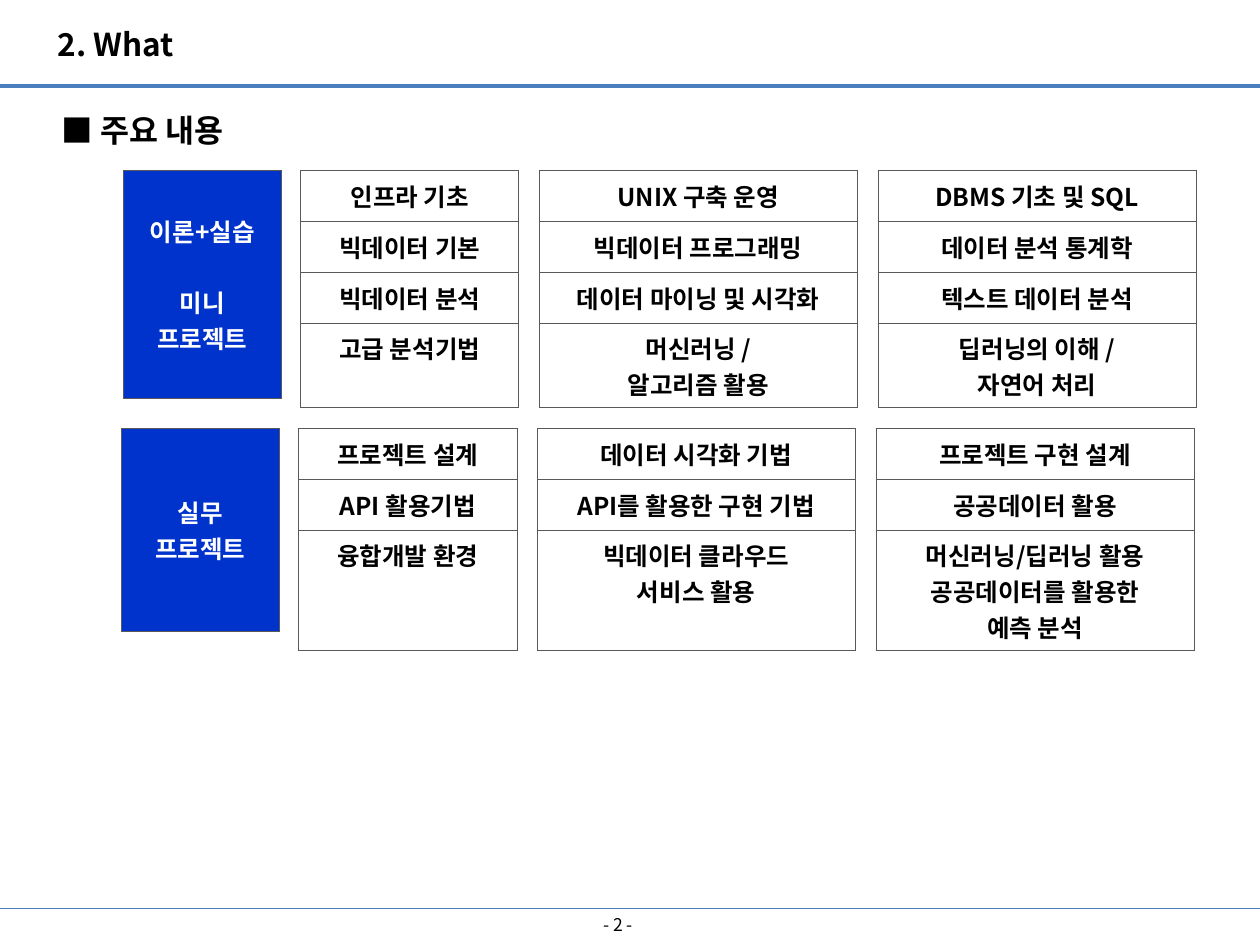
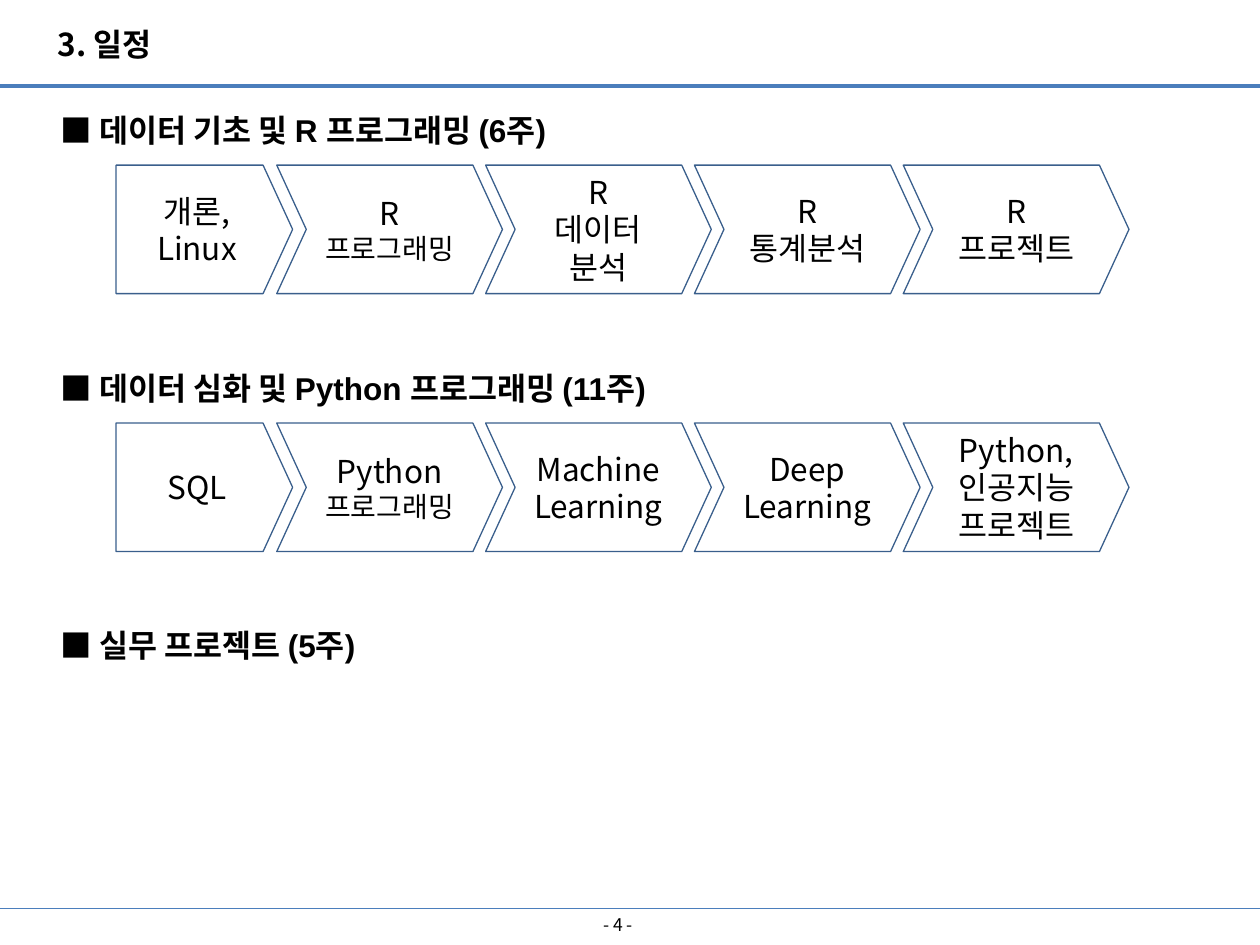
from lxml import etree
from pptx import Presentation
from pptx.dml.color import RGBColor
from pptx.enum.shapes import MSO_CONNECTOR as CONN, MSO_SHAPE as SHAPE
from pptx.enum.text import MSO_ANCHOR as ANCHOR, MSO_AUTO_SIZE as AUTO, PP_ALIGN as ALIGN
from pptx.oxml.ns import qn
from pptx.util import Cm, Pt

BLACK = RGBColor(0x00, 0x00, 0x00)
WHITE = RGBColor(0xFF, 0xFF, 0xFF)
RULE = RGBColor(0x4B, 0x7E, 0xBC)
OUTLINE = RGBColor(0x3A, 0x5F, 0x8C)
LABEL = RGBColor(0x00, 0x33, 0xCC)
BORDER = RGBColor(0x59, 0x59, 0x59)
SANS, LATIN = "Noto Sans CJK KR", "Arial"
INSETS = {"margin_left": Cm(0.1), "margin_right": Cm(0.1),
          "margin_top": Cm(0.13), "margin_bottom": Cm(0.13)}


class Deck:
    """Holds the presentation, its shared style and the current slide."""

    TITLE = {"size": Pt(18), "bold": True, "name": SANS}
    HEADING = {"size": Pt(18), "bold": True, "name": LATIN}
    CELL = {"size": Pt(14), "bold": True, "name": SANS}
    STEP = {"size": Pt(18), "bold": False, "name": SANS}
    FOOTER = {"size": Pt(10), "bold": False, "name": SANS}

    def __init__(self):
        self.prs = Presentation()
        self.prs.slide_width, self.prs.slide_height = Cm(25.4), Cm(19.05)

    def slide(self, title, title_width, number):
        self.s = self.prs.slides.add_slide(self.prs.slide_layouts[6])
        self.rule(1.73, 2.25)
        self.rule(18.31, 0.75)
        self.text(0.91, 0.38, title_width, 1.02, title, self.TITLE)
        tf = self.text(9.5, 18.31, 5.92, 0.66, f"- {number} -", self.FOOTER, ALIGN.CENTER)
        tf.vertical_anchor = ANCHOR.MIDDLE

    def rule(self, y, weight):
        line = self.s.shapes.add_connector(CONN.STRAIGHT, 0, Cm(y), self.prs.slide_width, Cm(y))
        line.line.color.rgb, line.line.width = RULE, Pt(weight)
        etree.SubElement(line._element.spPr, qn("a:effectLst"))

    def fill_text(self, tf, lines, style, align=ALIGN.CENTER, color=BLACK):
        for i, line in enumerate(lines):
            text, extra = line if isinstance(line, tuple) else (line, {})
            p = tf.paragraphs[0] if i == 0 else tf.add_paragraph()
            p.alignment = align
            p.space_before = extra.get("space_before", Pt(0))
            r = p.add_run()
            r.text = text
            for key, value in style.items():
                setattr(r.font, key, extra.get(key, value))
            r.font.color.rgb = color
            etree.SubElement(r.font._element, qn("a:ea"), typeface=SANS)

    def text(self, x, y, w, h, text, style, align=ALIGN.LEFT):
        tf = self.s.shapes.add_textbox(Cm(x), Cm(y), Cm(w), Cm(h)).text_frame
        tf.word_wrap = align == ALIGN.CENTER
        if not tf.word_wrap:
            tf.auto_size = AUTO.SHAPE_TO_FIT_TEXT
        self.fill_text(tf, [text], style, align)
        return tf

    def heading(self, x, y, w, text):
        tf = self.text(x, y, w, 1.42, "■ " + text, self.HEADING)
        tf.paragraphs[0].line_spacing = 1.5

    def table(self, x, y, w, heights, rows, fill=None):
        gf = self.s.shapes.add_table(len(rows), 1, Cm(x), Cm(y), Cm(w), Cm(sum(heights)))
        tbl = gf.table
        tbl.first_row = tbl.horz_banding = False
        for i, (height, lines) in enumerate(zip(heights, rows)):
            tbl.rows[i].height = Cm(height)
            cell = tbl.cell(i, 0)
            last = 0 < i == len(rows) - 1
            cell.vertical_anchor = ANCHOR.TOP if last else ANCHOR.MIDDLE
            for key, value in INSETS.items():
                setattr(cell, key, value)
            self.border(cell)
            if fill is None:
                cell.fill.background()
            else:
                cell.fill.solid()
                cell.fill.fore_color.rgb = fill
            self.fill_text(cell.text_frame, lines, self.CELL, color=WHITE if fill else BLACK)

    def border(self, cell):
        tcPr = cell._tc.get_or_add_tcPr()
        for side in ("lnL", "lnR", "lnT", "lnB"):
            ln = etree.SubElement(tcPr, qn("a:" + side), w=str(Pt(0.5)))
            solid = etree.SubElement(ln, qn("a:solidFill"))
            etree.SubElement(solid, qn("a:srgbClr"), val=str(BORDER))

    def step(self, kind, x, y, w, lines):
        sp = self.s.shapes.add_shape(kind, Cm(x), Cm(y), Cm(w), Cm(2.59))
        sp.adjustments[0] = 0.23
        sp.shadow.inherit = False
        sp.fill.solid()
        sp.fill.fore_color.rgb = WHITE
        sp.line.color.rgb, sp.line.width = OUTLINE, Pt(0.75)
        tf = sp.text_frame
        tf.word_wrap, tf.vertical_anchor = True, ANCHOR.MIDDLE
        for key, value in INSETS.items():
            setattr(tf, key, value)
        self.fill_text(tf, lines, self.STEP)

    def process(self, y, steps):
        self.step(SHAPE.PENTAGON, 2.34, y, 3.56, steps[0])
        for i, lines in enumerate(steps[1:]):
            self.step(SHAPE.CHEVRON, 5.58 + 4.21 * i, y, 4.55, lines)


THEORY = [
    [["인프라 기초"], ["빅데이터 기본"], ["빅데이터 분석"], ["고급 분석기법"]],
    [["UNIX 구축 운영"], ["빅데이터 프로그래밍"], ["데이터 마이닝 및 시각화"],
     ["머신러닝 /", "알고리즘 활용"]],
    [["DBMS 기초 및 SQL"], ["데이터 분석 통계학"], ["텍스트 데이터 분석"],
     ["딥러닝의 이해 /", "자연어 처리"]],
]
PRACTICE = [
    [["프로젝트 설계"], ["API 활용기법"], ["융합개발 환경"]],
    [["데이터 시각화 기법"], ["API를 활용한 구현 기법"], ["빅데이터 클라우드", "서비스 활용"]],
    [["프로젝트 구현 설계"], ["공공데이터 활용"],
     ["머신러닝/딥러닝 활용", "공공데이터를 활용한", "예측 분석"]],
]
THEORY_LABEL = ["이론+실습", ("미니", {"space_before": Pt(20)}), "프로젝트"]
PRACTICE_LABEL = ["실무", "프로젝트"]
GROUPS = [
    (2.49, 3.43, 4.6, THEORY_LABEL, [1.03, 1.03, 1.03, 1.7], THEORY),
    (2.45, 8.64, 4.09, PRACTICE_LABEL, [1.03, 1.03, 2.42], PRACTICE),
]
COLUMNS = [(3.57, 4.4), (8.38, 6.41), (15.21, 6.41)]
PROGRAMMING = ("프로그래밍", {"size": Pt(16)})

deck = Deck()

deck.slide("2. What", 2.9, 2)
deck.heading(0.99, 1.73, 4.17, "주요 내용")
for x, y, height, label, heights, columns in GROUPS:
    deck.table(x, y, 3.18, [height], [label], LABEL)
    for (offset, width), rows in zip(COLUMNS, columns):
        deck.table(x + offset, y, width, heights, rows)

deck.slide("3. 일정", 2.57, 4)
deck.heading(0.98, 1.73, 11.46, "데이터 기초 및 R 프로그래밍 (6주)")
deck.process(3.33, [["개론,", "Linux"], ["R", PROGRAMMING], ["R", "데이터", "분석"],
                    ["R", "통계분석"], ["R", "프로젝트"]])
deck.heading(0.98, 6.93, 13.56, "데이터 심화 및 Python 프로그래밍 (11주)")
deck.process(8.53, [["SQL"], ["Python", PROGRAMMING], ["Machine", "Learning"],
                    ["Deep", "Learning"], ["Python,", "인공지능", "프로젝트"]])
deck.heading(0.98, 12.12, 7.16, "실무 프로젝트 (5주)")

deck.prs.save("out.pptx")
